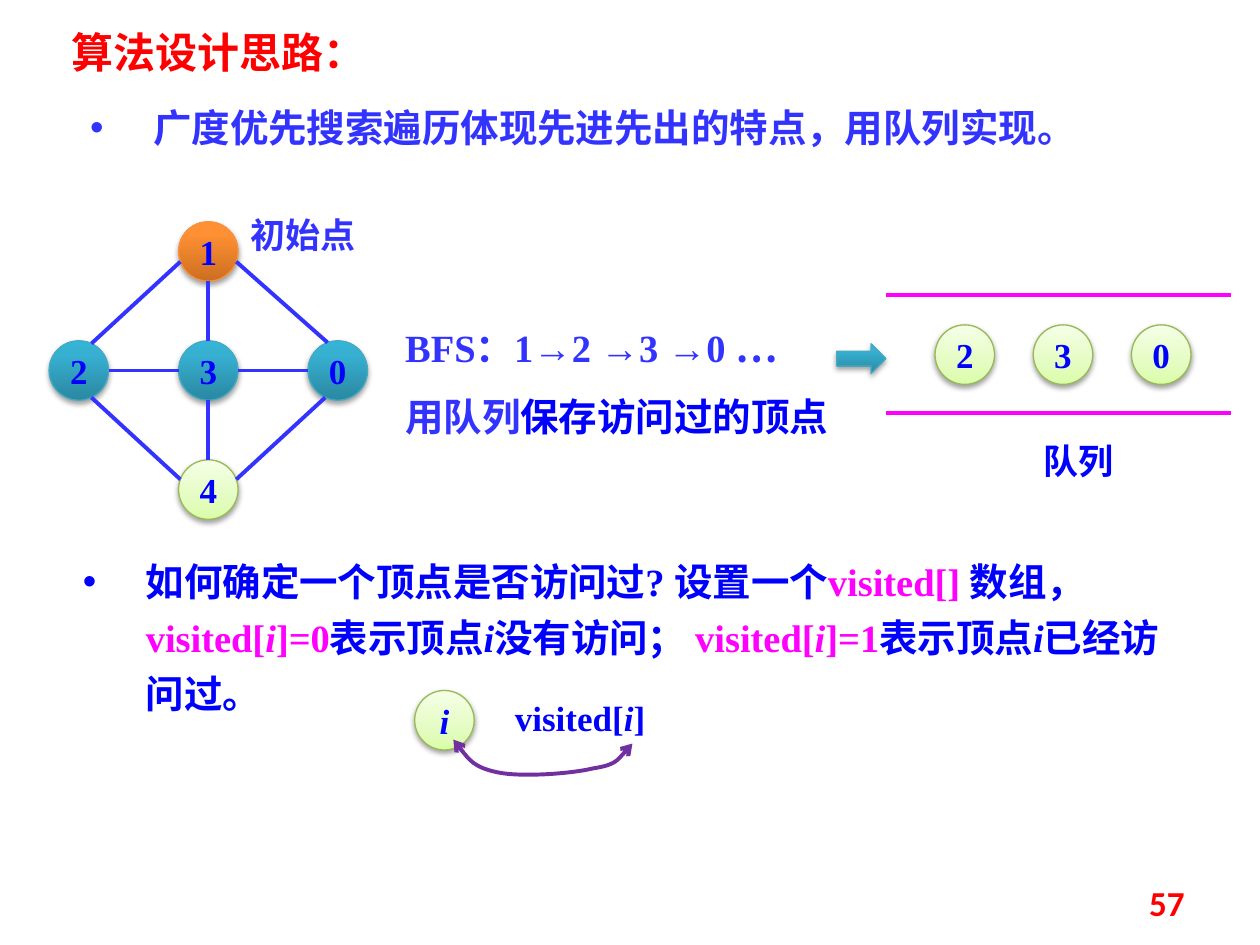
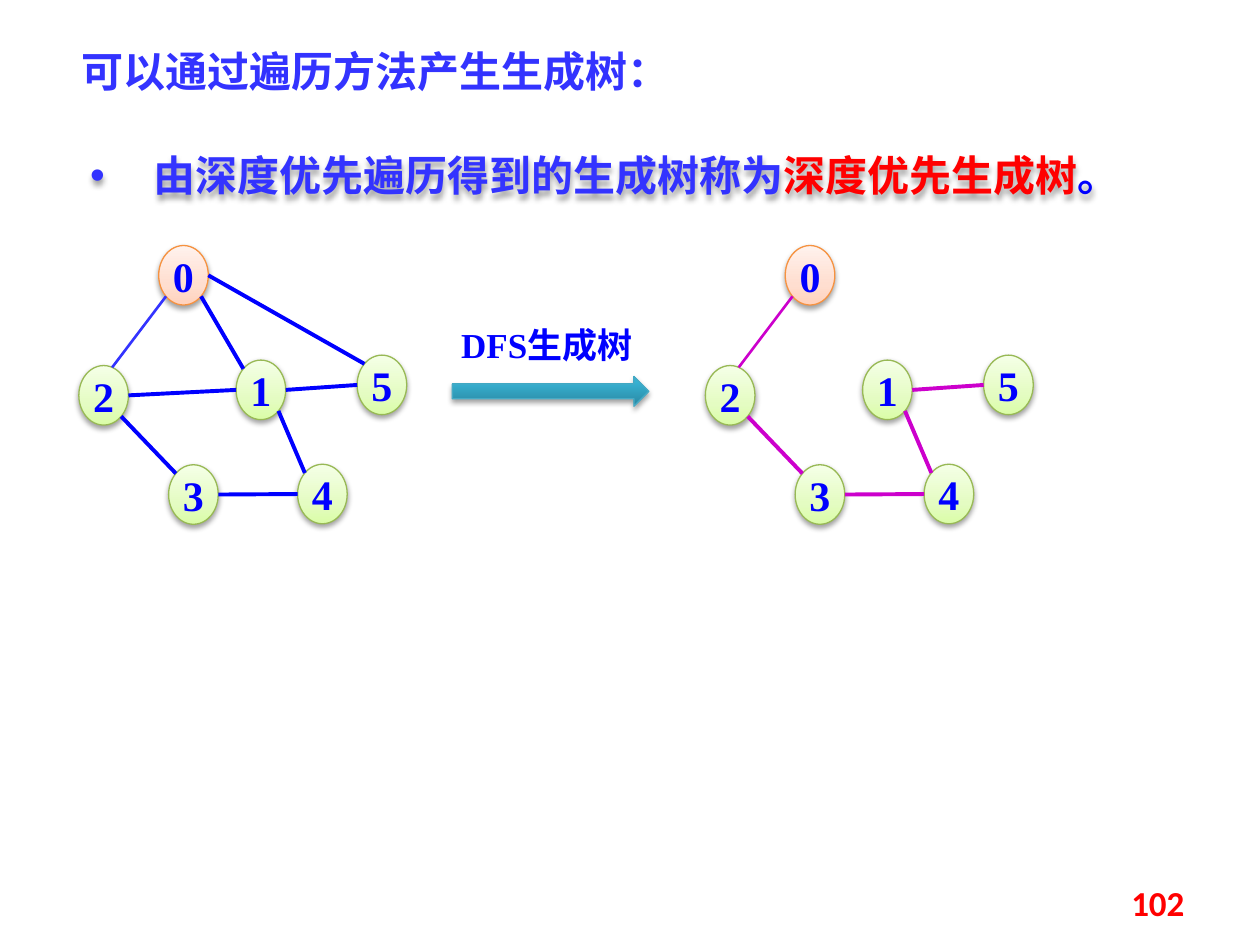
from copy import deepcopy
from math import cos, radians, sin

from lxml.etree import SubElement
from pptx import Presentation
from pptx.dml.color import RGBColor
from pptx.enum.shapes import MSO_CONNECTOR, MSO_SHAPE
from pptx.enum.text import MSO_ANCHOR, MSO_AUTO_SIZE, PP_ALIGN
from pptx.oxml.ns import qn
from pptx.util import Cm, Pt

BLUE = RGBColor(0x00, 0x00, 0xFF)
INDIGO = RGBColor(0x33, 0x33, 0xFF)
RED = RGBColor(0xFF, 0x00, 0x00)
MAGENTA = RGBColor(0xFF, 0x00, 0xFF)
ORCHID = RGBColor(0xCC, 0x00, 0xCC)
PURPLE = RGBColor(0x70, 0x30, 0xA0)
TEAL_LINE = RGBColor(0x46, 0xAA, 0xC5)
ORANGE_LINE = RGBColor(0xF6, 0x92, 0x40)
GREEN_LINE = RGBColor(0x98, 0xB9, 0x55)
TEAL_STOPS = (RGBColor(0x2A, 0x88, 0xA2), RGBColor(0x37, 0xB1, 0xD2), RGBColor(0x34, 0xB4, 0xD6))
ORANGE_STOPS = (RGBColor(0xCC, 0x6E, 0x20), RGBColor(0xFF, 0x90, 0x34), RGBColor(0xFF, 0x91, 0x36))
GREEN_STOPS = (RGBColor(0xDA, 0xFD, 0xA7), RGBColor(0xE4, 0xFC, 0xC2), RGBColor(0xF5, 0xFF, 0xE7))
PEACH_STOPS = (RGBColor(0xFF, 0xD2, 0xBD), RGBColor(0xFF, 0xDE, 0xD0), RGBColor(0xFF, 0xF2, 0xED))

TEAL = (TEAL_STOPS, 0.8, TEAL_LINE)
ORANGE = (ORANGE_STOPS, 0.8, ORANGE_LINE)
GREEN = (GREEN_STOPS, 0.35, GREEN_LINE)
PEACH = (PEACH_STOPS, 0.35, ORANGE_LINE)

SERIF = "Times New Roman"
HANS = "Noto Sans CJK SC"
ITALIC = {"italic": True}
CENTER = {"alignment": PP_ALIGN.CENTER}


def write_paragraph(paragraph, runs, size, layout, bullet=False):
    if bullet:
        properties = paragraph._p.get_or_add_pPr()
        properties.set("marL", str(Cm(1.27)))
        properties.set("indent", str(-Cm(1.27)))
        SubElement(properties, qn("a:buFont"), typeface="Arial")
        SubElement(properties, qn("a:buChar"), char="•")
    for name, value in layout.items():
        setattr(paragraph, name, value)
    for text, colour, *extra in runs:
        run = paragraph.add_run()
        run.text = text
        look = {"size": Pt(size), "bold": True, "name": SERIF}
        look.update(*extra)
        for name, value in look.items():
            setattr(run.font, name, value)
        run.font.color.rgb = colour
        SubElement(run.font._element, qn("a:ea"), typeface=HANS)


def style_shape(shape, style=None):
    shape.shadow.inherit = False
    effects = shape.element.spPr.find(qn("a:effectLst"))
    shadow = SubElement(effects, qn("a:outerShdw"), blurRad=str(Pt(3.1)),
                        dist=str(Pt(1.7)), dir="5400000", rotWithShape="0")
    black = SubElement(shadow, qn("a:srgbClr"), val="000000")
    SubElement(black, qn("a:alpha"), val="36000")
    if style:
        colours, middle, outline = style
        shape.fill.gradient()
        shape.fill.gradient_angle = 90
        stop_list = next(shape.element.spPr.iter(qn("a:gsLst")))
        stop_list.append(deepcopy(stop_list[0]))
        for stop, position, colour in zip(shape.fill.gradient_stops, (0, middle, 1), colours):
            stop.position = position
            stop.color.rgb = colour
        shape.line.color.rgb = outline
        shape.line.width = Pt(0.75)


presentation = Presentation()
presentation.slide_width = Cm(25.4)
presentation.slide_height = Cm(19.05)
bfs_slide, tree_slide = [presentation.slides.add_slide(presentation.slide_layouts[6]) for _ in range(2)]

visited_rule = [
    ("如何确定一个顶点是否访问过? 设置一个", BLUE),
    ("visited[] ", MAGENTA),
    ("数组， ", BLUE),
    ("visited[", MAGENTA), ("i", MAGENTA, ITALIC), ("]=0", MAGENTA),
    ("表示顶点", BLUE), ("i", BLUE, ITALIC), ("没有访问； ", BLUE),
    ("visited[", MAGENTA), ("i", MAGENTA, ITALIC), ("]=1", MAGENTA),
    ("表示顶点", BLUE), ("i", BLUE, ITALIC), ("已经访问过。", BLUE),
]
bfs_order = [
    [("BFS：1→2 →3 →0 ", INDIGO), ("…", INDIGO, {"name": HANS})],
    [("用队列", INDIGO), ("保存访问过的顶点", BLUE)],
]
dfs_definition = [
    ("由深度优先遍历得到的生成树称为", INDIGO),
    ("深度优先生成树", RED),
    ("。", BLUE),
]
justified = {"alignment": PP_ALIGN.JUSTIFY, "line_spacing": 1.5}
hans = {"name": HANS}

texts = [
    (bfs_slide, (1.57, 1.98, 20.83, 1.2), 22, {}, True,
     [[("广度优先搜索遍历体现先进先出的特点，用队列实现。", INDIGO, hans)]]),
    (bfs_slide, (1.19, 0.41, 7.14, 1.27), 24, {}, False, [[("算法设计思路：", RED, hans)]]),
    (bfs_slide, (4.62, 4.17, 2.97, 1.12), 20, CENTER, False, [[("初始点", INDIGO, hans)]]),
    (bfs_slide, (7.92, 5.94, 9.32, 3.07), 22, {"line_spacing": 1.5}, False, bfs_order),
    (bfs_slide, (20.45, 8.74, 2.59, 1.12), 20, CENTER, False, [[("队列", BLUE)]]),
    (bfs_slide, (1.42, 10.92, 22.4, 3.68), 22, {"line_spacing": Pt(32)}, True, [visited_rule]),
    (bfs_slide, (10.13, 13.92, 3.4, 1.12), 20, {}, False,
     [[("visited[", BLUE), ("i", BLUE, ITALIC), ("]", BLUE)]]),
    (tree_slide, (1.57, 2.39, 21.64, 1.6), 24, justified, True, [dfs_definition]),
    (tree_slide, (1.4, 0.79, 19.25, 1.27), 24, {}, False, [[("可以通过遍历方法产生生成树：", INDIGO)]]),
    (tree_slide, (8.74, 6.4, 4.57, 1.12), 20, CENTER, False, [[("DFS生成树", BLUE)]]),
]
for slide, number in ((bfs_slide, "57"), (tree_slide, "102")):
    texts.append((slide, (18.21, 17.65, 5.92, 1.02), 20, {"alignment": PP_ALIGN.RIGHT}, False,
                  [[(number, RED, {"name": "Calibri"})]]))

for slide, box, size, layout, bullet, paragraphs in texts:
    text_box = slide.shapes.add_textbox(*map(Cm, box))
    frame = text_box.text_frame
    frame.word_wrap = True
    frame.auto_size = MSO_AUTO_SIZE.SHAPE_TO_FIT_TEXT
    for index, runs in enumerate(paragraphs):
        paragraph = frame.add_paragraph() if index else frame.paragraphs[0]
        write_paragraph(paragraph, runs, size, layout, bullet)
    if paragraphs[0] is dfs_definition:
        style_shape(text_box)

columns = [0.99 + 2.61 * step for step in range(3)]
rows = [4.47 + 2.4 * step for step in range(3)]
bfs_nodes = {
    "3": (columns[1], rows[1], TEAL),
    "2": (columns[0], rows[1], TEAL),
    "0": (columns[2], rows[1], TEAL),
    "1": (columns[1], rows[0], ORANGE),
    "4": (columns[1], rows[2], GREEN),
}
bfs_edges = [
    ("1", 160, "2", 295), ("2", 0, "3", 180), ("3", 0, "0", 180), ("2", 65, "4", 200),
    ("1", 20, "0", 250), ("4", 340, "0", 115), ("3", 90, "4", 270), ("1", 90, "3", 270),
]
queue_nodes = {label: (18.85 + 1.98 * place, 6.55, GREEN) for place, label in enumerate("230")}
visited_node = {"i": (8.36, 13.92, GREEN)}
dfs_nodes = {
    "0": (3.2, 4.95, PEACH),
    "1": (4.76, 7.26, GREEN),
    "2": (1.59, 7.37, GREEN),
    "3": (3.4, 9.37, GREEN),
    "4": (6, 9.36, GREEN),
    "5": (7.2, 7.16, GREEN),
}
tree_edges = [
    ("0", 135, "2", 290), ("2", 45, "3", 225), ("1", 0, "5", 180),
    ("1", 45, "4", 225), ("3", 0, "4", 180),
]
other_edges = [("0", 45, "1", 225), ("2", 0, "1", 180), ("0", 0, "5", 225)]
tree_nodes = {label: (x + 12.63, y, style) for label, (x, y, style) in dfs_nodes.items()}

lines = [(bfs_slide, (17.86, y, 24.82, y), MAGENTA, 2.25) for y in (5.95, 8.33)]
graphs = [
    (bfs_slide, bfs_nodes, bfs_edges, INDIGO, 1.2, 20),
    (bfs_slide, queue_nodes, [], BLUE, 1.2, 20),
    (bfs_slide, visited_node, [], BLUE, 1.2, 20),
    (tree_slide, dfs_nodes, tree_edges + other_edges, BLUE, 1, 24),
    (tree_slide, tree_nodes, tree_edges, ORCHID, 1, 24),
]
for slide, nodes, edges, colour, width, size in graphs:
    for label, (x, y, style) in nodes.items():
        node = slide.shapes.add_shape(MSO_SHAPE.OVAL, Cm(x), Cm(y), Cm(width), Cm(1.2))
        style_shape(node, style)
        node.text_frame.word_wrap = False
        node.text_frame.vertical_anchor = MSO_ANCHOR.MIDDLE
        slant = ITALIC if label == "i" else {}
        write_paragraph(node.text_frame.paragraphs[0], [(label, BLUE, slant)], size, CENTER)
    for start, start_angle, end, end_angle in edges:
        ends = []
        for label, angle in ((start, start_angle), (end, end_angle)):
            x, y, style = nodes[label]
            ends += [x + width / 2 * (1 + cos(radians(angle))), y + 0.6 * (1 + sin(radians(angle)))]
        thin = slide is tree_slide and (start, end) == ("0", "2")
        edge_colour = INDIGO if thin and colour == BLUE else colour
        lines.append((slide, ends, edge_colour, 1.5 if thin else 2.25))

for slide, ends, colour, weight in lines:
    edge = slide.shapes.add_connector(MSO_CONNECTOR.STRAIGHT, *map(Cm, ends))
    edge.line.color.rgb = colour
    edge.line.width = Pt(weight)
    SubElement(edge.element.spPr, qn("a:effectLst"))

for slide, box in ((bfs_slide, (16.87, 6.93, 0.99, 0.6)), (tree_slide, (9.12, 7.59, 3.96, 0.6))):
    style_shape(slide.shapes.add_shape(MSO_SHAPE.RIGHT_ARROW, *map(Cm, box)), TEAL)

link_points = [
    (9.14, 14.91), (9.35, 15.19), (9.55, 15.47), (10.03, 15.57), (10.49, 15.67),
    (11.51, 15.6), (11.96, 15.49), (12.42, 15.42), (12.57, 15.19), (12.75, 14.99),
]
link_start, *link_rest = [(Cm(x), Cm(y)) for x, y in link_points]
builder = bfs_slide.shapes.build_freeform(*link_start)
builder.add_line_segments(link_rest, close=False)
visited_link = builder.convert_to_shape()
outline = next(visited_link.element.spPr.iter(qn("a:path")))
segments = outline.findall(qn("a:lnTo"))
for first in range(0, len(segments), 3):
    bend = SubElement(outline, qn("a:cubicBezTo"))
    for segment in segments[first:first + 3]:
        bend.append(segment[0])
        outline.remove(segment)
visited_link.shadow.inherit = False
visited_link.fill.background()
visited_link.line.color.rgb = PURPLE
visited_link.line.width = Pt(2.25)
for tip in ("a:headEnd", "a:tailEnd"):
    SubElement(visited_link.element.spPr.find(qn("a:ln")), qn(tip), type="arrow")

presentation.save("out.pptx")
